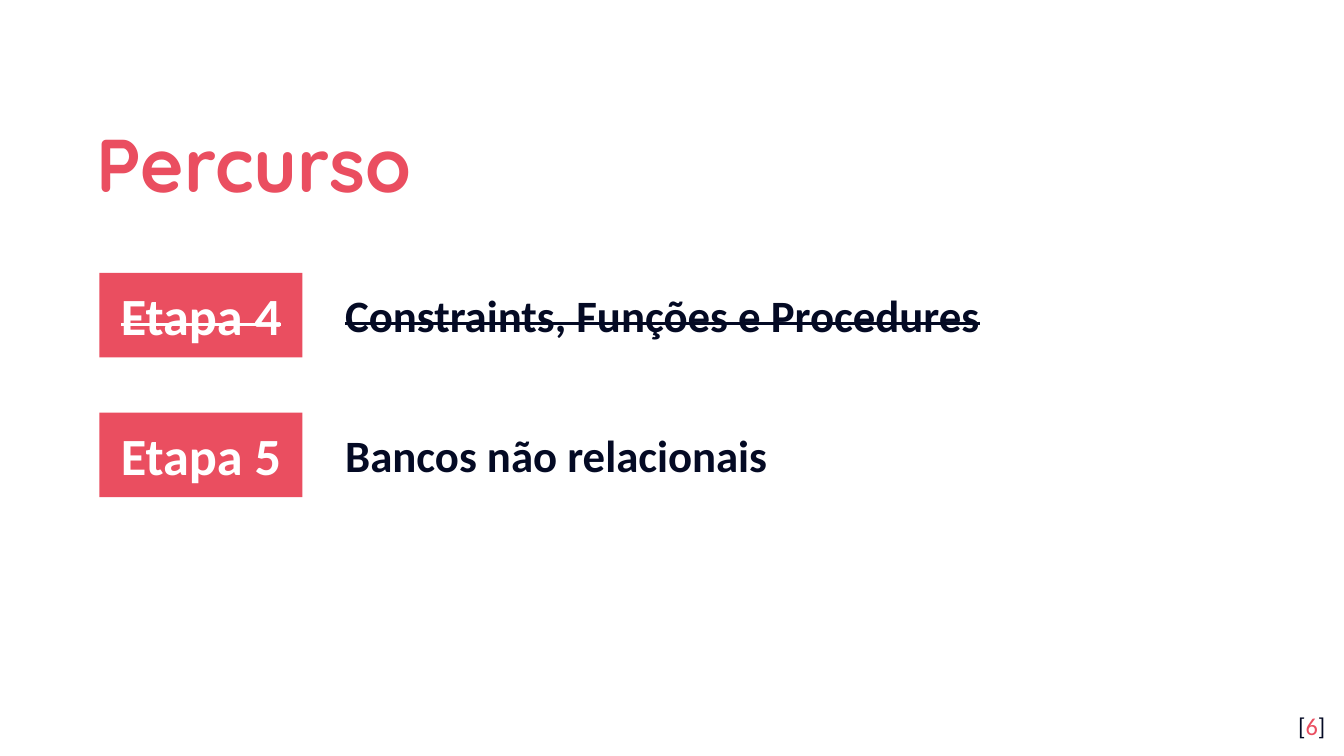
from dataclasses import dataclass

from pptx import Presentation
from pptx.dml.color import RGBColor
from pptx.enum.shapes import MSO_SHAPE
from pptx.enum.text import MSO_ANCHOR, MSO_AUTO_SIZE, PP_ALIGN
from pptx.util import Inches, Pt


@dataclass(frozen=True)
class Theme:
    coral: RGBColor = RGBColor(0xEA, 0x4E, 0x60)
    navy: RGBColor = RGBColor(0x04, 0x0A, 0x24)
    white: RGBColor = RGBColor(0xFF, 0xFF, 0xFF)
    heading: str = "Quicksand"
    body: str = "Calibri"
    title_size: int = 40
    stage_size: int = 28
    topic_size: int = 24
    number_size: int = 13


theme = Theme()

# Grid in inches: a stage column, a topic column and evenly spaced rows
STAGE_LEFT, STAGE_WIDTH, STAGE_HEIGHT = 0.74, 1.51, 0.63
TOPIC_LEFT, TOPIC_WIDTH, TOPIC_HEIGHT = 2.47, 7.3, 0.5
FIRST_ROW, ROW_STEP = 2.03, 1.04


def format_frame(frame, anchor, side=0.1, vertical=0.1):
    frame.word_wrap = True
    frame.auto_size = MSO_AUTO_SIZE.NONE
    frame.vertical_anchor = anchor
    frame.margin_left = frame.margin_right = Inches(side)
    frame.margin_top = frame.margin_bottom = Inches(vertical)


def write_line(frame, text, font_name, size, color, align, bold=True, struck=False):
    line = frame.paragraphs[0]
    line.alignment = align
    line.font.name, line.font.size, line.font.bold = font_name, Pt(size), bold
    line.font.color.rgb = color
    run = line.add_run()
    run.text = text
    if struck:
        run.font._element.set("strike", "sngStrike")
    return line


# Widescreen slide, 16:9
presentation = Presentation()
presentation.slide_width = Inches(10)
presentation.slide_height = presentation.slide_width * 9 // 16
slide = presentation.slides.add_slide(presentation.slide_layouts[5])
slide.background.fill.solid()
slide.background.fill.fore_color.rgb = theme.white

# Title
title = slide.shapes.title
title.left, title.top = Inches(0.62), Inches(0.7)
title.width, title.height = Inches(8.1), Inches(0.92)
format_frame(title.text_frame, MSO_ANCHOR.MIDDLE)
heading = write_line(title.text_frame, "Percurso", theme.heading, theme.title_size,
                     theme.coral, PP_ALIGN.LEFT)
heading.line_spacing = 1.15

# Stages: completed ones are struck through
stages = [
    ("Etapa 4", "Constraints, Funções e Procedures", True),
    ("Etapa 5", "Bancos não relacionais", False),
]
for row, (stage_name, topic_name, done) in enumerate(stages):
    top = FIRST_ROW + row * ROW_STEP

    stage = slide.shapes.add_shape(MSO_SHAPE.RECTANGLE, Inches(STAGE_LEFT), Inches(top),
                                   Inches(STAGE_WIDTH), Inches(STAGE_HEIGHT))
    stage.shadow.inherit = False
    stage.fill.solid()
    stage.fill.fore_color.rgb = theme.coral
    stage.line.fill.background()
    format_frame(stage.text_frame, MSO_ANCHOR.MIDDLE)
    write_line(stage.text_frame, stage_name, theme.body, theme.stage_size,
               theme.white, PP_ALIGN.CENTER, struck=done)

    topic_top = top + (STAGE_HEIGHT - TOPIC_HEIGHT) / 2
    topic = slide.shapes.add_textbox(Inches(TOPIC_LEFT), Inches(topic_top),
                                     Inches(TOPIC_WIDTH), Inches(TOPIC_HEIGHT))
    format_frame(topic.text_frame, MSO_ANCHOR.TOP, vertical=0.05)
    write_line(topic.text_frame, topic_name, theme.body, theme.topic_size,
               theme.navy, PP_ALIGN.LEFT, struck=done)

# Page number in brackets
page_number = slide.shapes.add_textbox(Inches(9.36), Inches(5.19), Inches(0.6), Inches(0.43))
format_frame(page_number.text_frame, MSO_ANCHOR.TOP)
number_line = write_line(page_number.text_frame, "[", theme.body, theme.number_size,
                         theme.navy, PP_ALIGN.RIGHT, bold=False)
for text, color in (("6", theme.coral), ("]", theme.navy)):
    run = number_line.add_run()
    run.text = text
    run.font.color.rgb = color

presentation.save("out.pptx")
